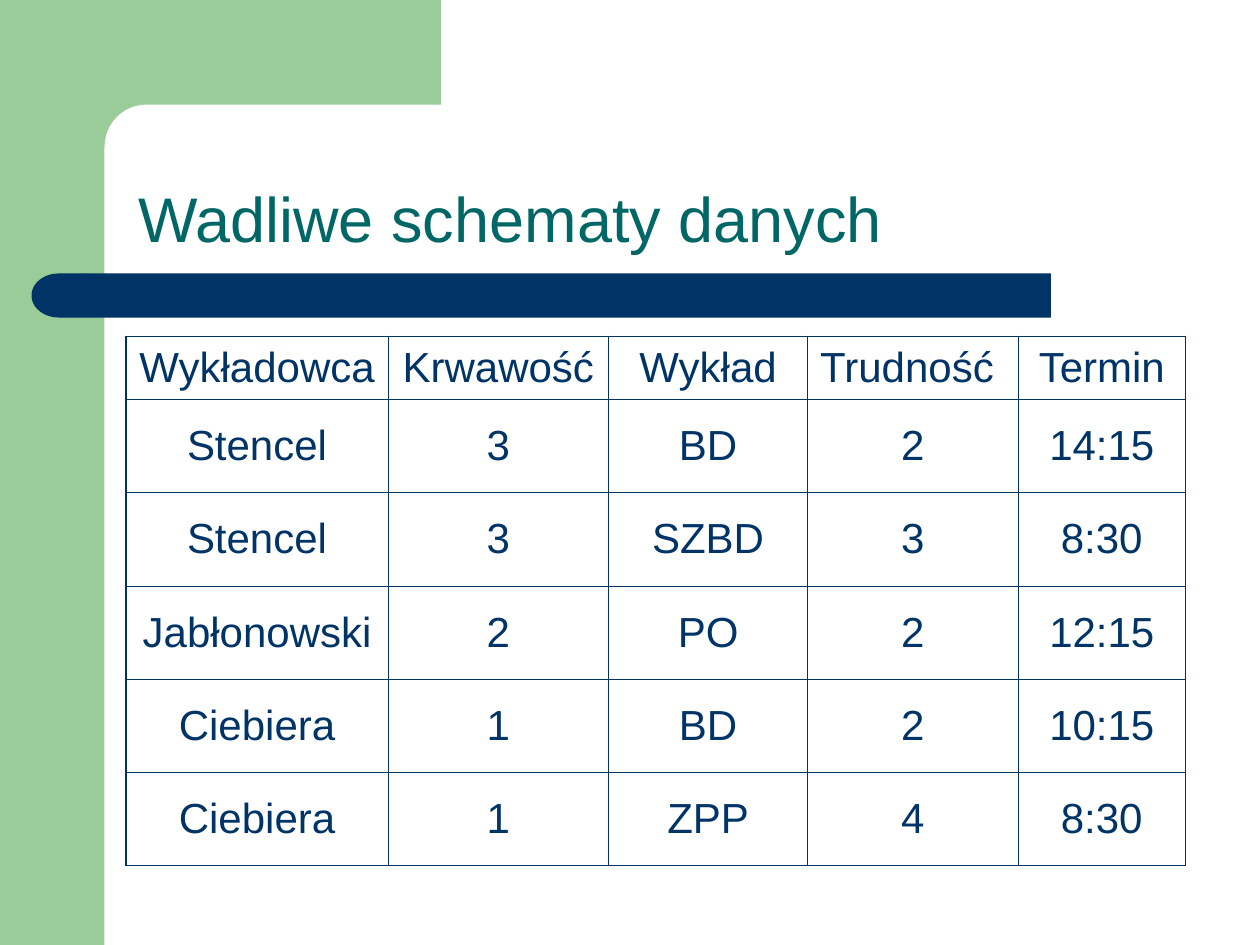
from lxml import etree
from pptx import Presentation
from pptx import util as u
from pptx.dml.color import RGBColor
from pptx.enum import shapes, text
from pptx.oxml.ns import qn

GREEN = RGBColor(0x99, 0xCC, 0x99)
WHITE = RGBColor(0xFF, 0xFF, 0xFF)
NAVY = RGBColor(0x00, 0x33, 0x66)
TEAL = RGBColor(0x00, 0x66, 0x66)
THICK, THIN = 1.08, 0.45
SHAPE = shapes.MSO_SHAPE

LECTURES = [
    ["Wykładowca", "Krwawość", "Wykład", "Trudność ", "Termin"],
    ["Stencel", "3", "BD", "2", "14:15"],
    ["Stencel", "3", "SZBD", "3", "8:30"],
    ["Jabłonowski", "2", "PO", "2", "12:15"],
    ["Ciebiera", "1", "BD", "2", "10:15"],
    ["Ciebiera", "1", "ZPP", "4", "8:30"],
]
COLUMN_WIDTHS = [2.08, 1.75, 1.58, 1.67, 1.33]
ROW_HEIGHTS = [0.5] + [0.74] * 5


class SlideBuilder:
    """Draws styled elements on one slide."""

    font_name = "Arial"

    def __init__(self, slide):
        self.slide = slide

    def block(self, kind, left, top, width, height, color, rounding=None):
        block = self.slide.shapes.add_shape(
            kind, u.Inches(left), u.Inches(top), u.Inches(width), u.Inches(height))
        block.shadow.inherit = False
        block.fill.solid()
        block.fill.fore_color.rgb = color
        block.line.fill.background()
        if rounding is not None:
            block.adjustments[0] = rounding
        return block

    def style(self, paragraph, size, color):
        paragraph.font.name = self.font_name
        paragraph.font.size = u.Pt(size)
        paragraph.font.color.rgb = color

    def title(self, wording, left, top, width, height):
        frame = self.slide.shapes.add_textbox(
            u.Inches(left), u.Inches(top), u.Inches(width), u.Inches(height)).text_frame
        frame.word_wrap = True
        frame.vertical_anchor = text.MSO_ANCHOR.BOTTOM
        heading = frame.paragraphs[0]
        heading.text = wording
        heading.line_spacing = 0.9
        self.style(heading, 36, TEAL)

    def border(self, cell, side, width):
        line = etree.SubElement(cell._tc.get_or_add_tcPr(), qn(f"a:ln{side}"), w=str(u.Pt(width)))
        fill = etree.SubElement(line, qn("a:solidFill"))
        etree.SubElement(fill, qn("a:srgbClr"), val=str(NAVY))

    def table(self, rows, left, top, widths, heights):
        table = self.slide.shapes.add_table(
            len(rows), len(widths), u.Inches(left), u.Inches(top),
            u.Inches(sum(widths)), u.Inches(sum(heights))).table
        table.horz_banding = False
        for column, width in zip(table.columns, widths):
            column.width = u.Inches(width)
        last_row, last_column = len(rows) - 1, len(widths) - 1
        for r, (row, height) in enumerate(zip(rows, heights)):
            table.rows[r].height = u.Inches(height)
            for c, wording in enumerate(row):
                cell = table.cell(r, c)
                thick_sides = {"L": c == 0, "R": c == last_column,
                               "T": r <= 1, "B": r in (0, last_row)}
                for side, thick in thick_sides.items():
                    self.border(cell, side, THICK if thick else THIN)
                cell.fill.background()
                cell.vertical_anchor = text.MSO_ANCHOR.MIDDLE
                entry = cell.text_frame.paragraphs[0]
                entry.text = wording
                entry.alignment = text.PP_ALIGN.CENTER
                entry.space_before = u.Pt(6)
                self.style(entry, 24, NAVY)


def main():
    deck = Presentation()
    deck.slide_width, deck.slide_height = u.Inches(10), u.Inches(7.5)
    builder = SlideBuilder(deck.slides.add_slide(deck.slide_layouts[6]))

    builder.block(SHAPE.RECTANGLE, 0, 0, 0.83, 7.5, GREEN)
    builder.block(SHAPE.RECTANGLE, 0.75, 0, 2.75, 1.17, GREEN)
    builder.block(SHAPE.ROUNDED_RECTANGLE, 0.83, 0.83, 5.58, 0.67, WHITE, 0.5)
    builder.block(SHAPE.ROUNDED_RECTANGLE, 0.67, 2.17, 7.67, 0.35, NAVY, 0)
    bar_end = builder.block(SHAPE.FLOWCHART_DELAY, 0.25, 2.17, 0.43, 0.35, NAVY)
    bar_end.rotation = 180

    builder.title("Wadliwe schematy danych", 1, 0.83, 8.75, 1.25)
    builder.table(LECTURES, 1, 2.67, COLUMN_WIDTHS, ROW_HEIGHTS)
    deck.save("out.pptx")


if __name__ == "__main__":
    main()
